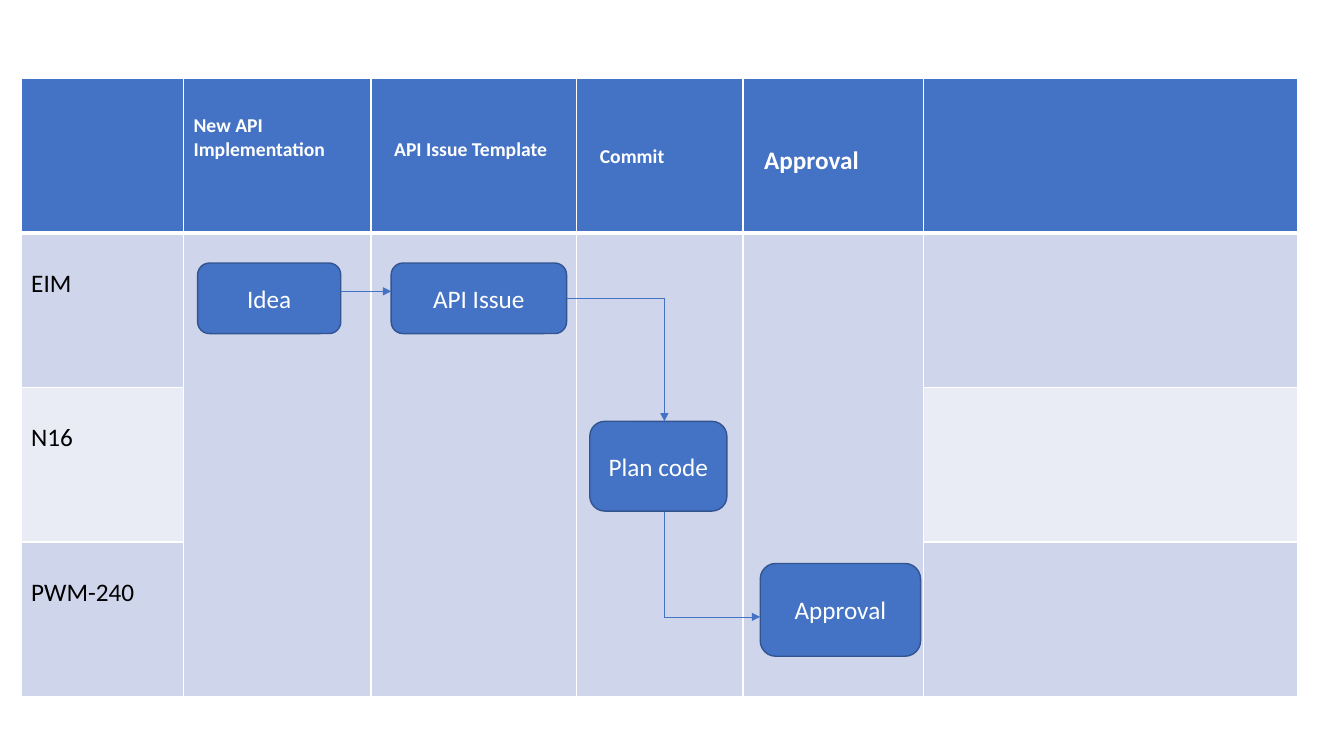
"""Build a swimlane table slide showing the API approval flow."""
from lxml import etree
from pptx import Presentation
from pptx.dml.color import RGBColor
from pptx.enum import shapes, text
from pptx.oxml import ns
from pptx.util import Inches, Pt

BLUE, OUTLINE, WHITE, BLACK = "4472C4", "325491", "FFFFFF", "000000"
LANE_FILLS = ["CFD5EA", "E9EBF5", "CFD5EA"]


def paint(color_format, value):
    color_format.rgb = RGBColor.from_string(value)


def write(frame, words, size, color, bold=False):
    frame.text = words
    font = frame.paragraphs[0].runs[0].font
    font.name, font.size, font.bold = "Calibri", Pt(size), bold
    paint(font.color, color)


deck = Presentation()
deck.slide_width, deck.slide_height = Inches(13.33), Inches(7.5)
slide = deck.slides.add_slide(deck.slide_layouts[6])

widths = [1.61, 1.86, 2.04, 1.65, 1.79, 3.71]
lanes = slide.shapes.add_table(
    4, 6, Inches(0.21), Inches(0.78), Inches(sum(widths)), Inches(6.13)).table
for column, width in zip(lanes.columns, widths):
    column.width = Inches(width)
for row in lanes.rows:
    row.height = Inches(6.13 / 4)

for r in range(4):
    for c in range(6):
        cell = lanes.cell(r, c)
        properties = cell._tc.get_or_add_tcPr()
        for side in "LRTB":
            under_header = (r, side) in [(0, "B"), (1, "T")]
            border = etree.SubElement(properties, ns.qn(f"a:ln{side}"),
                                      w=str(Pt(3 if under_header else 1)))
            solid = etree.SubElement(border, ns.qn("a:solidFill"))
            etree.SubElement(solid, ns.qn("a:srgbClr"), val=WHITE)
        cell.fill.solid()
        paint(cell.fill.fore_color, LANE_FILLS[r - 1] if r else BLUE)

for c in range(1, 5):
    lanes.cell(1, c).merge(lanes.cell(3, c))

headings = [
    ("New API Implementation", 14, 0.1, 0.35),
    ("API Issue Template", 14, 0.23, 0.59),
    ("Commit", 14, 0.23, 0.66),
    ("Approval", 18, 0.21, 0.66),
]
for c, (heading, size, left, top) in enumerate(headings, 1):
    cell = lanes.cell(0, c)
    cell.margin_left, cell.margin_top = Inches(left), Inches(top)
    write(cell.text_frame, heading, size, WHITE, True)

for r, lane in enumerate(["EIM", "N16", "PWM-240"], 1):
    cell = lanes.cell(r, 0)
    cell.margin_top = Inches(0.35)
    write(cell.text_frame, lane, 18, BLACK)

steps = [
    ("Idea", 1.96, 2.61, 1.42, 0.7),
    ("API Issue", 3.88, 2.61, 1.74, 0.7),
    ("Plan code", 5.85, 4.18, 1.36, 0.89),
    ("Approval", 7.54, 5.59, 1.59, 0.92),
]
for label, *place in steps:
    step = slide.shapes.add_shape(
        shapes.MSO_SHAPE.ROUNDED_RECTANGLE, *map(Inches, place))
    step.shadow.inherit = False
    step.fill.solid()
    paint(step.fill.fore_color, BLUE)
    paint(step.line.color, OUTLINE)
    step.line.width = Pt(1)
    write(step.text_frame, label, 18, WHITE)
    step.text_frame.word_wrap = True
    step.text_frame.vertical_anchor = text.MSO_ANCHOR.MIDDLE
    step.text_frame.paragraphs[0].alignment = text.PP_ALIGN.CENTER

routes = [
    [(3.38, 2.89), (3.88, 2.89)],
    [(5.62, 2.96), (6.59, 2.96), (6.59, 4.18)],
    [(6.59, 5.08), (6.59, 6.12), (7.54, 6.12)],
]
for route in routes:
    for start, end in zip(route, route[1:]):
        link = slide.shapes.add_connector(
            shapes.MSO_CONNECTOR.STRAIGHT, *map(Inches, start + end))
        paint(link.line.color, BLUE)
        link.line.width = Pt(0.5)
        if end == route[-1]:
            etree.SubElement(link.line._get_or_add_ln(), ns.qn("a:tailEnd"), type="triangle")
        etree.SubElement(link._element.spPr, ns.qn("a:effectLst"))

deck.save("out.pptx")
